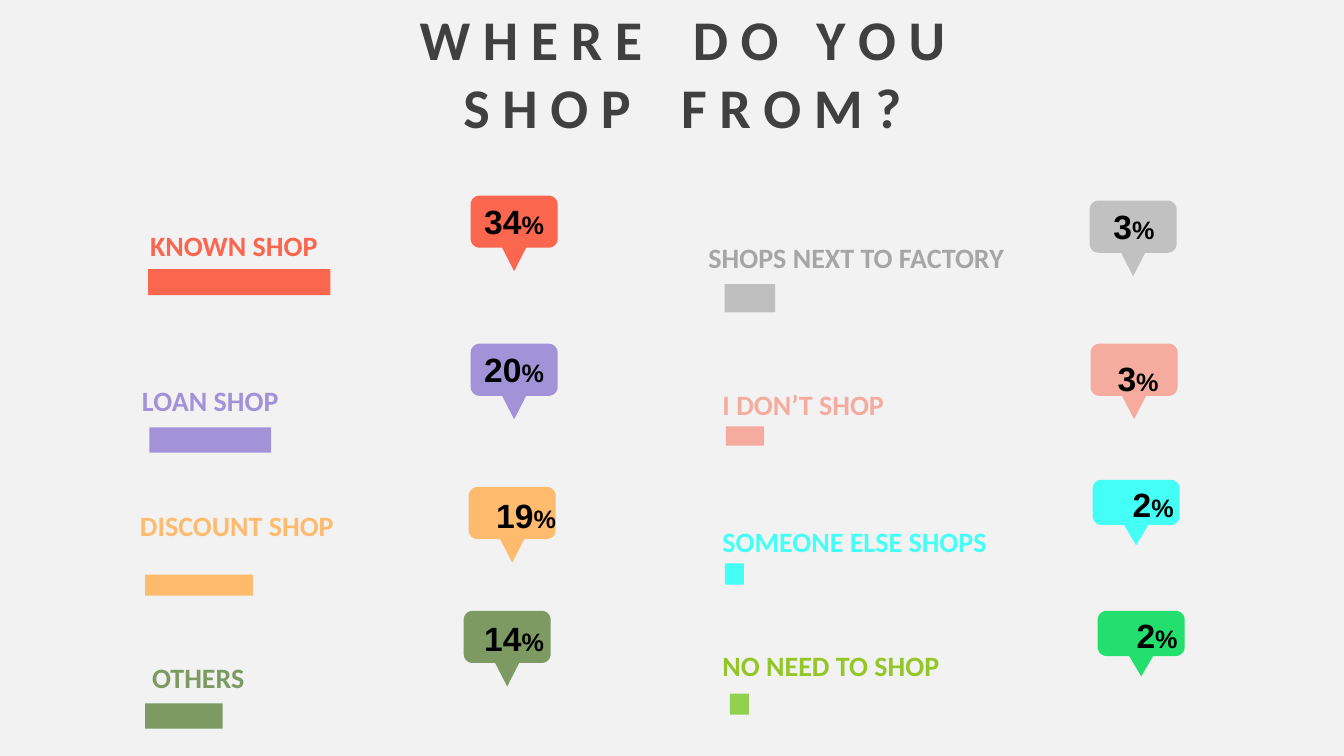
"""Build the "Where do you shop from?" survey slide."""
from dataclasses import dataclass
from math import cos, radians, sin
from typing import NamedTuple

from pptx import Presentation
from pptx.dml.color import RGBColor
from pptx.enum.shapes import MSO_SHAPE
from pptx.enum.text import MSO_AUTO_SIZE, PP_ALIGN
from pptx.util import Pt

RECTANGLE = MSO_SHAPE.RECTANGLE
GROW = MSO_AUTO_SIZE.SHAPE_TO_FIT_TEXT
CENTER, LEFT = PP_ALIGN.CENTER, PP_ALIGN.LEFT


@dataclass(frozen=True)
class Theme:
    background: str = "F2F2F2"
    title: str = "404040"
    number: str = "000000"
    heading_font: str = "Calibri"
    number_font: str = "Arial"
    title_size: float = 40
    label_size: float = 20
    number_size: float = 24
    percent_size: float = 18


class Box(NamedTuple):
    left: float
    top: float
    width: float
    height: float


class Point(NamedTuple):
    left: float
    top: float


@dataclass(frozen=True)
class Answer:
    label: str
    percent: int
    label_at: Point
    bar: Box
    callout_at: Point
    number_at: Point
    color: str
    label_color: str = ""
    callout_color: str = ""
    callout_height: float = 54
    label_width: float = 231


THEME = Theme()
TITLE_BOX = Box(193.7, 0, 587.5, 104.4)
TITLE_LINES = (
    (("W H E R E", 27), ("D O", 18), ("Y O U", 0)),
    (("S H O P", 27), ("F R O M ?", 0)),
)
CALLOUT_WIDTH = 62.2
CORNER = 6.4
TAIL_HALF_WIDTH = 8.6
BODY_SHARE = 0.69

ANSWERS = (
    Answer("KNOWN SHOP", 34, Point(100.1, 159.8), Box(105.8, 192.2, 130.3, 18.7),
           Point(336.2, 139.7), Point(323.3, 139.7), "FB664F"),
    Answer("LOAN SHOP", 20, Point(94.3, 270.7), Box(106.6, 305.3, 87.1, 18),
           Point(336.2, 245.5), Point(323.3, 245.5), "A293D9"),
    Answer("DISCOUNT SHOP", 19, Point(92.9, 360), Box(103.7, 410.4, 77, 15.1),
           Point(334.8, 347.8), Point(331.9, 349.9), "FEBB6E"),
    Answer("OTHERS", 14, Point(101.5, 468), Box(103.7, 502.4, 55.4, 18),
           Point(331.2, 436.3), Point(323.3, 437.8), "7D9A62"),
    Answer("SHOPS NEXT TO FACTORY", 3, Point(499, 168.5), Box(517.7, 203, 36, 20.2),
           Point(778.3, 143.3), Point(766.1, 143.3), "BFBFBF",
           label_color="A6A6A6", callout_color="C1C1C1", label_width=244.8),
    Answer("I DON’T SHOP", 3, Point(509, 273.6), Box(518.4, 304.6, 27.4, 13.7),
           Point(779, 245.5), Point(769, 252), "F5AC9F"),
    Answer("SOMEONE ELSE SHOPS", 2, Point(509, 370.8), Box(517.7, 402.5, 13.7, 15.1),
           Point(780.5, 342.7), Point(779.8, 342), "44FFF5", callout_height=46.8),
    Answer("NO NEED TO SHOP", 2, Point(509, 459.4), Box(521.3, 495.4, 13.7, 15.1),
           Point(784.1, 436.3), Point(782.6, 435.6), "92D050",
           label_color="94C627", callout_color="23E06E", callout_height=46.8),
)


def format_run(run, font: str, size: float, color: str) -> None:
    run.font.name = font
    run.font.size = Pt(size)
    run.font.bold = True
    run.font.color.rgb = RGBColor.from_string(color)


def paint(shape, color: str) -> None:
    shape.shadow.inherit = False
    shape.fill.solid()
    shape.fill.fore_color.rgb = RGBColor.from_string(color)
    shape.line.fill.background()


def add_text_frame(shapes, box: Box):
    text_frame = shapes.add_textbox(*map(Pt, box)).text_frame
    text_frame.word_wrap = True
    text_frame.auto_size = GROW
    return text_frame


def add_title(slide) -> None:
    text_frame = add_text_frame(slide.shapes, TITLE_BOX)
    for index, line in enumerate(TITLE_LINES):
        paragraph = text_frame.add_paragraph() if index else text_frame.paragraphs[0]
        paragraph.alignment = CENTER
        for word, gap in line:
            paragraph.add_run().text = word
            if gap:
                space = paragraph.add_run()
                space.text = " "
                space.font._element.set("spc", str(gap * 100))
        for run in paragraph.runs:
            format_run(run, THEME.heading_font, THEME.title_size, THEME.title)


def add_label(slide, answer: Answer) -> None:
    text_frame = add_text_frame(
        slide.shapes, Box(*answer.label_at, answer.label_width, 31.7))
    text_frame.text = answer.label
    paragraph = text_frame.paragraphs[0]
    paragraph.alignment = LEFT
    format_run(paragraph.runs[0], THEME.heading_font, THEME.label_size,
               answer.label_color or answer.color)


def corner_points(center: Point, start: int) -> list[Point]:
    angles = [radians(start + step) for step in range(0, 91, 15)]
    return [Point(center.left + CORNER * cos(angle), center.top + CORNER * sin(angle))
            for angle in angles]


def add_callout(shapes, answer: Answer) -> None:
    left, top = answer.callout_at
    right, bottom = left + CALLOUT_WIDTH, top + answer.callout_height * BODY_SHARE
    middle = left + CALLOUT_WIDTH / 2
    near, far = left + CORNER, right - CORNER
    upper, lower = top + CORNER, bottom - CORNER
    outline = [
        *corner_points(Point(far, upper), 270),
        *corner_points(Point(far, lower), 0),
        Point(middle + TAIL_HALF_WIDTH, bottom),
        Point(middle, top + answer.callout_height),
        Point(middle - TAIL_HALF_WIDTH, bottom),
        *corner_points(Point(near, lower), 90),
        *corner_points(Point(near, upper), 180),
    ]
    vertices = [(Pt(point.left), Pt(point.top)) for point in outline]
    builder = shapes.build_freeform(*vertices[0])
    builder.add_line_segments(vertices[1:], close=True)
    paint(builder.convert_to_shape(), answer.callout_color or answer.color)


def add_number(shapes, answer: Answer) -> None:
    text_frame = add_text_frame(shapes, Box(*answer.number_at, 87.8, 36))
    text_frame.text = str(answer.percent)
    paragraph = text_frame.paragraphs[0]
    paragraph.alignment = CENTER
    paragraph.add_run().text = "%"
    for run, size in zip(paragraph.runs, (THEME.number_size, THEME.percent_size)):
        format_run(run, THEME.number_font, size, THEME.number)


def add_answer(slide, answer: Answer) -> None:
    shapes = slide.shapes.add_group_shape().shapes
    paint(shapes.add_shape(RECTANGLE, *map(Pt, answer.bar)), answer.color)
    add_callout(shapes, answer)
    add_number(shapes, answer)
    add_label(slide, answer)


def main() -> None:
    presentation = Presentation()
    presentation.slide_width, presentation.slide_height = Pt(960), Pt(540)
    slide = presentation.slides.add_slide(presentation.slide_layouts[6])
    slide.background.fill.solid()
    slide.background.fill.fore_color.rgb = RGBColor.from_string(THEME.background)
    add_title(slide)
    for answer in ANSWERS:
        add_answer(slide, answer)
    presentation.save("out.pptx")


if __name__ == "__main__":
    main()
